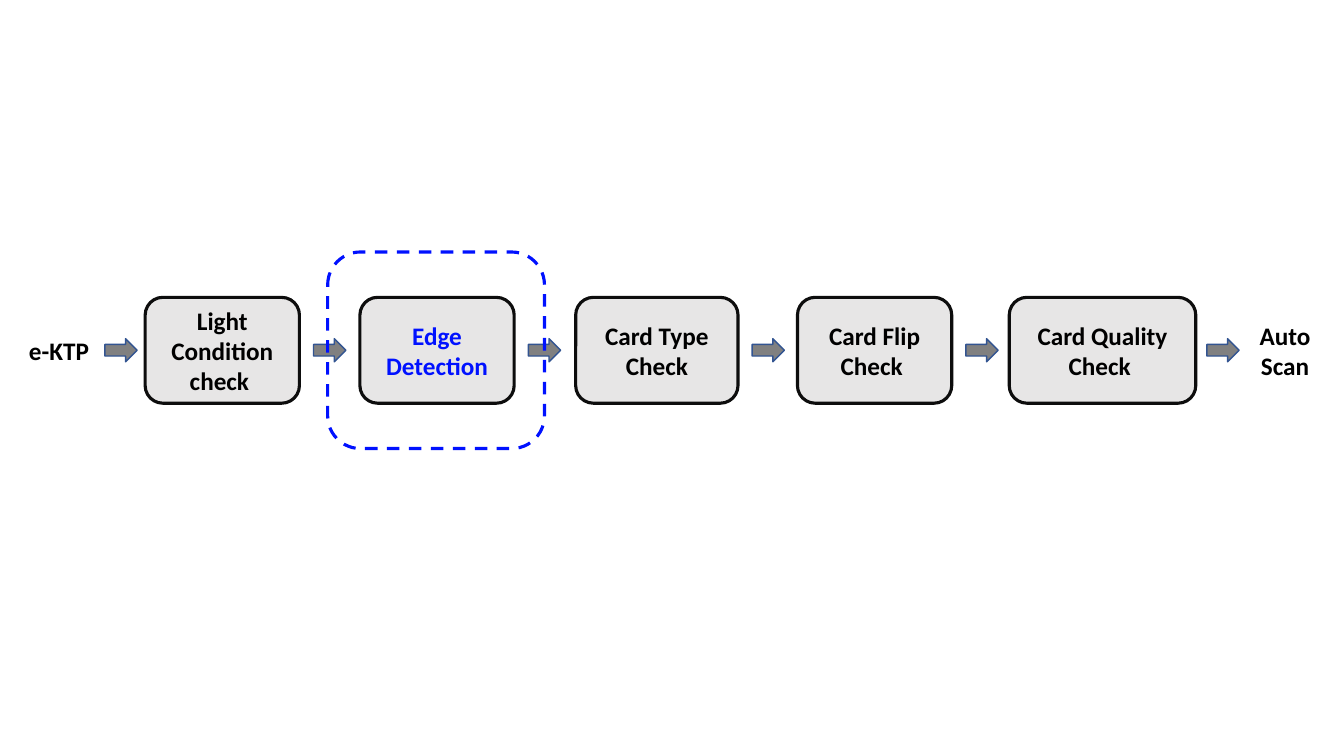
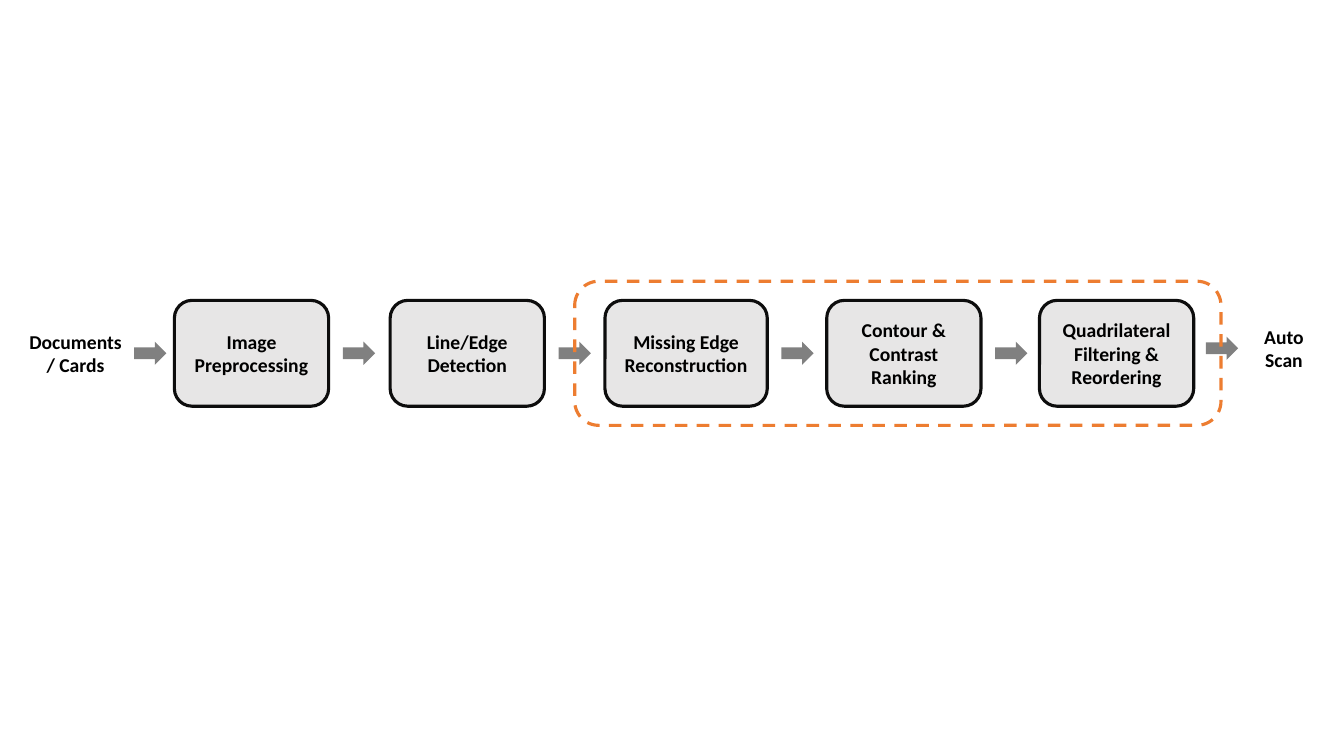
"""Build two process-flow slides with highlighted stages."""
from pptx import Presentation
from pptx.dml.color import RGBColor
from pptx.enum.dml import MSO_LINE
from pptx.enum.shapes import MSO_SHAPE as SHAPE
from pptx.enum.text import MSO_ANCHOR, PP_ALIGN
from pptx.util import Inches, Pt

BLACK = RGBColor(0x00, 0x00, 0x00)
BLUE = RGBColor(0x00, 0x11, 0xFF)
ORANGE = RGBColor(0xED, 0x7D, 0x31)
BOX_FILL = RGBColor(0xE7, 0xE6, 0xE6)
BOX_LINE = RGBColor(0x0D, 0x0D, 0x0D)
ARROW_FILL = RGBColor(0x80, 0x80, 0x80)
ARROW_LINE = RGBColor(0x32, 0x54, 0x91)

FONT = "Calibri"
BOX_H = 1.05
ARROW_W, ARROW_H = 0.32, 0.23
ARROW_GAP = 0.14
LINE_W = 2.25

FLOWS = [
    {
        "size": 18,
        "middle": 3.475,
        "arrow_line": ARROW_LINE,
        "start": ("e-KTP", 0.13, 0.91, 0.4),
        "end": ("Auto Scan", 12.29, 0.91, 0.71),
        "end_middle": 3.475,
        "stages": [
            ("Light Condition\ncheck ", 1.44, 1.53, BLACK),
            ("Edge Detection", 3.57, 1.53, BLUE),
            ("Card Type\nCheck", 5.71, 1.61, BLACK),
            ("Card Flip Check ", 7.91, 1.53, BLACK),
            ("Card Quality Check ", 10.01, 1.85, BLACK),
        ],
        "frame": (3.25, 2.15, 1.95, BLUE),
    },
    {
        "size": 14,
        "middle": 3.505,
        "arrow_line": None,
        "start": ("Documents / Cards", 0.17, 1.16, 0.57),
        "end": ("Auto Scan", 12.28, 0.91, 0.57),
        "end_middle": 3.455,
        "stages": [
            ("Image Preprocessing", 1.73, 1.53, BLACK),
            ("Line/Edge Detection", 3.87, 1.53, BLACK),
            ("Missing Edge Reconstruction", 6, 1.61, BLACK),
            ("Contour & Contrast Ranking", 8.2, 1.53, BLACK),
            ("Quadrilateral Filtering & Reordering", 10.31, 1.53, BLACK),
        ],
        "frame": (5.7, 6.41, 1.43, ORANGE),
    },
]


def centred(left, middle, width, height):
    return [Inches(v) for v in (left, middle - height / 2, width, height)]


def write(s, text, size, color):
    tf = s.text_frame
    tf.word_wrap = True
    tf.vertical_anchor = MSO_ANCHOR.MIDDLE
    style = {"name": FONT, "size": Pt(size), "bold": True}
    for i, line in enumerate(text.split("\n")):
        p = tf.add_paragraph() if i else tf.paragraphs[0]
        p.alignment = PP_ALIGN.CENTER
        r = p.add_run()
        r.text = line
        for key, value in style.items():
            setattr(r.font, key, value)
        r.font.color.rgb = color


def add_shape(slide, kind, place, fill, line, width=LINE_W):
    s = slide.shapes.add_shape(kind, *place)
    s.shadow.inherit = False
    for part, color in ((s.fill, fill), (s.line.fill, line)):
        if color is None:
            part.background()
        else:
            part.solid()
            part.fore_color.rgb = color
    if line is not None:
        s.line.width = Pt(width)
    return s


def add_label(slide, label, middle, size):
    text, left, width, height = label
    s = slide.shapes.add_textbox(*centred(left, middle, width, height))
    write(s, text, size, BLACK)


def add_flow(slide, flow):
    middle, size = flow["middle"], flow["size"]
    for text, left, width, color in flow["stages"]:
        place = centred(left, middle, width, BOX_H)
        s = add_shape(slide, SHAPE.ROUNDED_RECTANGLE, place, BOX_FILL, BOX_LINE)
        write(s, text, size, color)

    start, end = flow["start"], flow["end"]
    arrows = [(start[1] + start[2], middle)]
    for _, left, width, _ in flow["stages"][:-1]:
        arrows.append((left + width + ARROW_GAP, middle))
    arrows.append((end[1] - ARROW_W, flow["end_middle"]))
    for left, y in arrows:
        place = centred(left, y, ARROW_W, ARROW_H)
        add_shape(slide, SHAPE.RIGHT_ARROW, place, ARROW_FILL, flow["arrow_line"], 1)

    add_label(slide, start, middle, size)
    add_label(slide, end, flow["end_middle"], size)

    left, width, height, color = flow["frame"]
    place = centred(left, middle, width, height)
    frame = add_shape(slide, SHAPE.ROUNDED_RECTANGLE, place, None, color)
    frame.line.dash_style = MSO_LINE.DASH


def main():
    prs = Presentation()
    prs.slide_width, prs.slide_height = Inches(13.33), Inches(7.5)
    for flow in FLOWS:
        add_flow(prs.slides.add_slide(prs.slide_layouts[6]), flow)
    prs.save("out.pptx")


if __name__ == "__main__":
    main()
